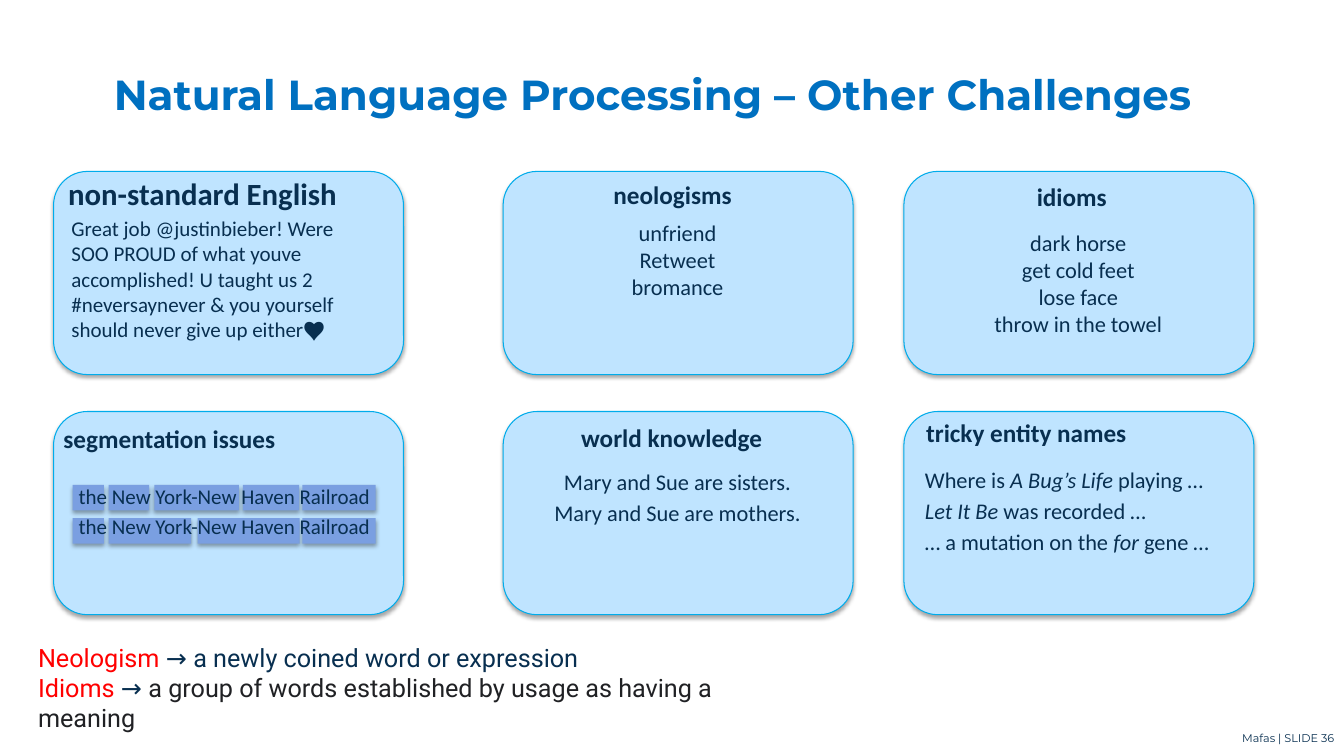
from lxml.etree import SubElement
from pptx import Presentation
from pptx.dml.color import RGBColor
from pptx.enum.shapes import MSO_SHAPE
from pptx.enum.text import MSO_ANCHOR, PP_ALIGN
from pptx.oxml.ns import qn
from pptx.util import Cm, Pt

NAVY = "082F50"
LEFT, CENTER, RIGHT = PP_ALIGN.LEFT, PP_ALIGN.CENTER, PP_ALIGN.RIGHT

presentation = Presentation()
presentation.slide_width = Cm(33.87)
presentation.slide_height = Cm(19.05)
slide = presentation.slides.add_slide(presentation.slide_layouts[5])


def add_panel(preset, left, top, width, height, fill, outline=None):
    """Add a filled shape with a soft shadow straight below it."""
    panel = slide.shapes.add_shape(preset, Cm(left), Cm(top), Cm(width), Cm(height))
    panel.fill.solid()
    panel.fill.fore_color.rgb = RGBColor.from_string(fill)
    if outline:
        panel.line.color.rgb = RGBColor.from_string(outline)
        panel.line.width = Pt(0.75)
    else:
        panel.line.fill.background()
    panel.shadow.inherit = False
    effects = panel._element.spPr.find(qn("a:effectLst"))
    shadow = SubElement(effects, qn("a:outerShdw"), blurRad=str(Pt(3.1)),
                        dist=str(Pt(1.8)), dir="5400000", rotWithShape="0")
    black = SubElement(shadow, qn("a:srgbClr"), val="000000")
    SubElement(black, qn("a:alpha"), val="35000")


def add_text(left, top, width, height, lines, size, align=LEFT, bold=False,
             gap=0, font="Calibri"):
    """Add a text box; each line is a tuple of runs. Return its paragraphs."""
    box = slide.shapes.add_textbox(Cm(left), Cm(top), Cm(width), Cm(height))
    frame = box.text_frame
    frame.word_wrap = True
    for number, runs in enumerate(lines):
        paragraph = frame.paragraphs[0] if number == 0 else frame.add_paragraph()
        for text in runs:
            paragraph.add_run().text = text
        paragraph.alignment = align
        if number and gap:
            paragraph.space_before = Pt(gap)
        paragraph.font.name = font
        paragraph.font.size = Pt(size)
        paragraph.font.bold = bold
        paragraph.font.color.rgb = RGBColor.from_string(NAVY)
    return frame.paragraphs


# Title and footer
title = slide.shapes.title
title.left, title.top, title.width, title.height = Cm(0.81), Cm(0.76), Cm(31.29), Cm(3.18)
title.text_frame.text = "Natural Language Processing – Other Challenges"
title.text_frame.vertical_anchor = MSO_ANCHOR.MIDDLE
heading = title.text_frame.paragraphs[0]
heading.alignment = CENTER
heading.font.name = "Montserrat"
heading.font.size = Pt(30)
heading.font.bold = True
heading.font.color.rgb = RGBColor.from_string("0070C0")

add_text(30.18, 18.31, 3.7, 0.61, [("Mafas | SLIDE 36",)], 8, RIGHT, font="Montserrat")

# Six cards
for card_top in (4.32, 10.37):
    for card_left in (1.35, 12.68, 22.78):
        add_panel(MSO_SHAPE.ROUNDED_RECTANGLE, card_left, card_top, 8.82, 5.12,
                  "BFE4FF", "00ACEB")

# Highlighted segments: (left, width) for the two ways to split the phrase
segmentations = [
    (12.22, [(1.83, 0.79), (2.74, 1.02), (3.89, 2.13), (6.12, 1.42), (7.62, 1.85)]),
    (13.06, [(1.83, 0.79), (2.74, 2.08), (4.98, 2.57), (7.62, 1.85)]),
]
for segment_top, segments in segmentations:
    for segment_left, segment_width in segments:
        add_panel(MSO_SHAPE.RECTANGLE, segment_left, segment_top, segment_width, 0.64,
                  "7A9FE1")

# Card headings
card_headings = [
    ("non-standard English", 1.47, 4.27, 7.8, 22, LEFT),
    ("neologisms", 15.0, 4.39, 3.9, 18, CENTER),
    ("idioms", 25.88, 4.45, 2.9, 18, LEFT),
    ("segmentation issues", 1.35, 10.54, 7.72, 18, LEFT),
    ("world knowledge", 14.18, 10.52, 5.5, 18, CENTER),
    ("tricky entity names", 23.09, 10.39, 6.65, 18, LEFT),
]
for text, left, top, width, size, align in card_headings:
    add_text(left, top, width, 1.02, [(text,)], size, align, bold=True)

# Card examples
add_text(1.55, 5.31, 8.05, 3.45,
         [("Great job @justinbieber! Were SOO PROUD of what youve accomplished! "
           "U taught us 2 #neversaynever & you yourself should never give up either♥",)], 15)
add_text(12.67, 5.41, 8.81, 3,
         [("unfriend",), ("Retweet",), ("bromance",)], 16, CENTER)
add_text(22.78, 5.66, 8.79, 3,
         [("dark horse",), ("get cold feet",), ("lose face",), ("throw in the towel",)],
         16, CENTER)
add_text(1.63, 12.07, 8.05, 1.7, [("the New York-New Haven Railroad",)] * 2, 15, CENTER, gap=3)
add_text(12.67, 11.68, 8.81, 1.73,
         [("Mary and Sue are sisters.",), ("Mary and Sue are mothers.",)], 16, CENTER, gap=3)
entity_examples = add_text(
    23.06, 11.63, 7.9, 2.51,
    [("Where is ", "A Bug’s Life", " playing …"),
     ("Let It Be", " was recorded …"),
     ("… a mutation on the ", "for", " gene …")], 16, gap=3)
for example, entity_position in zip(entity_examples, (1, 0, 1)):
    example.runs[entity_position].font.italic = True

# Definitions
definitions = add_text(
    0.71, 16.05, 19.58, 2.4,
    [("Neologism ", "→ a newly coined word or expression"),
     ("Idioms", " → ", "a group of words established by usage as having a meaning")],
    18, font="Roboto")
for definition in definitions:
    for run, color in zip(definition.runs, ("FF0000", NAVY, "202124")):
        run.font.color.rgb = RGBColor.from_string(color)

presentation.save("out.pptx")
